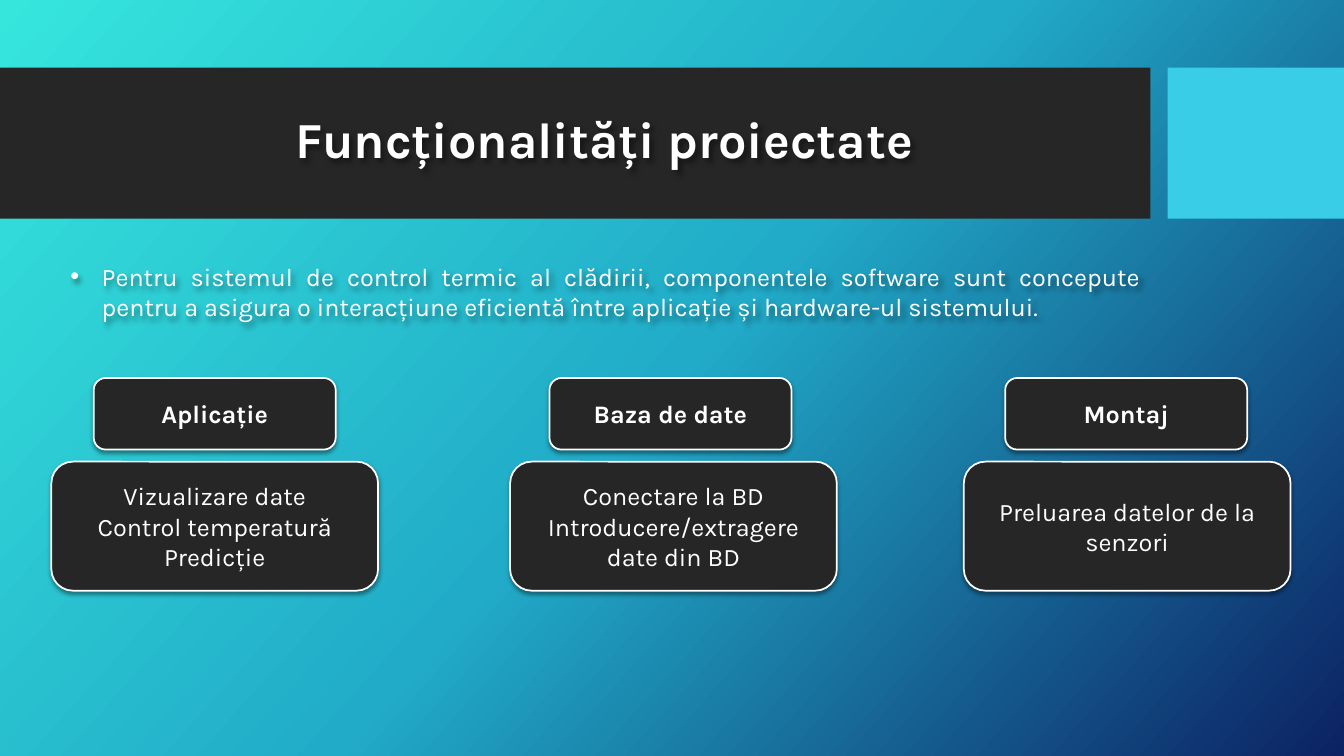
"""Builds the slide on the planned functions of a thermal control system."""
import copy
from dataclasses import dataclass

import lxml.etree
import pptx
import pptx.dml.color
import pptx.enum.dml
import pptx.enum.shapes
import pptx.enum.text
import pptx.oxml.ns
import pptx.util

EMU_PER_PX = 9144
ALIGN = pptx.enum.text.PP_ALIGN
ANCHOR = pptx.enum.text.MSO_ANCHOR
SHAPE = pptx.enum.shapes.MSO_SHAPE


@dataclass(frozen=True)
class Theme:
    font: str = "Karla"
    white: str = "FFFFFF"
    panel: str = "262626"
    accent: str = "39CDE7"
    shade: str = "000000"
    backdrop: tuple = ((0, "36E6DD"), (0.5, "21ABC8"), (1, "0C2263"))
    backdrop_angle: int = 42
    title_size: int = 36
    body_size: int = 18
    outline: float = 1.25


def px(length):
    return pptx.util.Emu(length * EMU_PER_PX)


def rgb(code):
    return pptx.dml.color.RGBColor.from_string(code)


def add_child(parent, tag, **attributes):
    child = lxml.etree.SubElement(parent, pptx.oxml.ns.qn(tag))
    for key, value in attributes.items():
        child.set(key, str(value))
    return child


class SlideBuilder:
    def __init__(self, slide, theme):
        self.slide = slide
        self.theme = theme

    def backdrop(self):
        fill = self.slide.background.fill
        fill.gradient()
        fill.gradient_angle = 360 - self.theme.backdrop_angle
        stops = self.slide.element.find(".//" + pptx.oxml.ns.qn("a:gsLst"))
        stops.append(copy.deepcopy(stops[-1]))
        for stop, (position, color) in zip(fill.gradient_stops, self.theme.backdrop):
            stop.color.rgb = rgb(color)
            stop.position = position

    def shadow(self, shape, blur, distance, degrees):
        shape.shadow.inherit = False
        effects = shape.element.spPr.find(pptx.oxml.ns.qn("a:effectLst"))
        outer = add_child(effects, "a:outerShdw", blurRad=pptx.util.Pt(blur),
                          dist=pptx.util.Pt(distance), dir=degrees * 60000,
                          algn="ctr", rotWithShape=0)
        color = add_child(outer, "a:srgbClr", val=self.theme.shade)
        add_child(color, "a:alpha", val=40000)

    def block(self, box, color, preset=SHAPE.RECTANGLE):
        shape = self.slide.shapes.add_shape(preset, *map(px, box))
        shape.shadow.inherit = False
        shape.fill.solid()
        shape.fill.fore_color.rgb = rgb(color)
        shape.line.fill.background()
        return shape

    def label(self, shape, lines, size, bold=False, align=ALIGN.CENTER, anchor=ANCHOR.MIDDLE):
        frame = shape.text_frame
        frame.word_wrap = True
        frame.vertical_anchor = anchor
        frame.text = "\n".join(lines)
        for paragraph in frame.paragraphs:
            paragraph.alignment = align
            paragraph.font.name = self.theme.font
            paragraph.font.size = pptx.util.Pt(size)
            paragraph.font.bold = bold
            paragraph.font.color.rgb = rgb(self.theme.white)

    def card(self, box, lines, bold=False):
        card = self.block(box, self.theme.panel, SHAPE.ROUNDED_RECTANGLE)
        card.line.color.rgb = rgb(self.theme.white)
        card.line.width = pptx.util.Pt(self.theme.outline)
        self.shadow(card, 3, 2, 90)
        self.label(card, lines, self.theme.body_size, bold)

    def title(self, box, text):
        title = self.slide.shapes.add_textbox(*map(px, box))
        self.label(title, [text], self.theme.title_size, bold=True)
        title.text_frame.paragraphs[0].line_spacing = 0.9
        self.shadow(title, 4, 3, 45)

    def bullet(self, box, text, indent):
        bullet = self.slide.shapes.add_textbox(*map(px, box))
        self.label(bullet, [text], self.theme.body_size, align=ALIGN.JUSTIFY, anchor=ANCHOR.TOP)
        bullet.text_frame.auto_size = pptx.enum.text.MSO_AUTO_SIZE.SHAPE_TO_FIT_TEXT
        properties = bullet.text_frame.paragraphs[0]._p.get_or_add_pPr()
        properties.set("marL", str(px(indent)))
        properties.set("indent", str(px(-indent)))
        mark_font = pptx.oxml.ns.qn("a:buFont")
        mark = pptx.oxml.ns.qn("a:buChar")
        properties.insert(0, lxml.etree.Element(mark_font, typeface="Arial"))
        properties.insert(1, lxml.etree.Element(mark, char="•"))
        self.shadow(bullet, 4, 3, 45)


COMPONENTS = (
    ("Aplicație", 51, ["Vizualizare date", "Control temperatură", "Predicție"]),
    ("Baza de date", 506, ["Conectare la BD", "Introducere/extragere date din BD"]),
    ("Montaj", 956, ["Preluarea datelor de la senzori"]),
)


def main():
    presentation = pptx.Presentation()
    presentation.slide_width = pptx.util.Inches(13.33)
    presentation.slide_height = pptx.util.Inches(7.5)
    theme = Theme()
    builder = SlideBuilder(presentation.slides.add_slide(presentation.slide_layouts[6]), theme)

    builder.backdrop()
    builder.block((0, 67, 1141, 150), theme.panel)
    builder.block((1158, 67, 175, 150), theme.accent)
    builder.title((74, 82, 1051, 118), "Funcționalități proiectate")
    builder.bullet(
        (60, 254, 1081, 71),
        "Pentru sistemul de control termic al clădirii, componentele software sunt concepute "
        "pentru a asigura o interacțiune eficientă între aplicație și hardware-ul sistemului.",
        indent=31,
    )
    for column, (component, functions_left, functions) in enumerate(COMPONENTS):
        builder.card((93 + 452 * column, 375, 240, 71), [component], bold=True)
        builder.card((functions_left, 458, 324, 128), functions)

    presentation.save("out.pptx")


if __name__ == "__main__":
    main()
